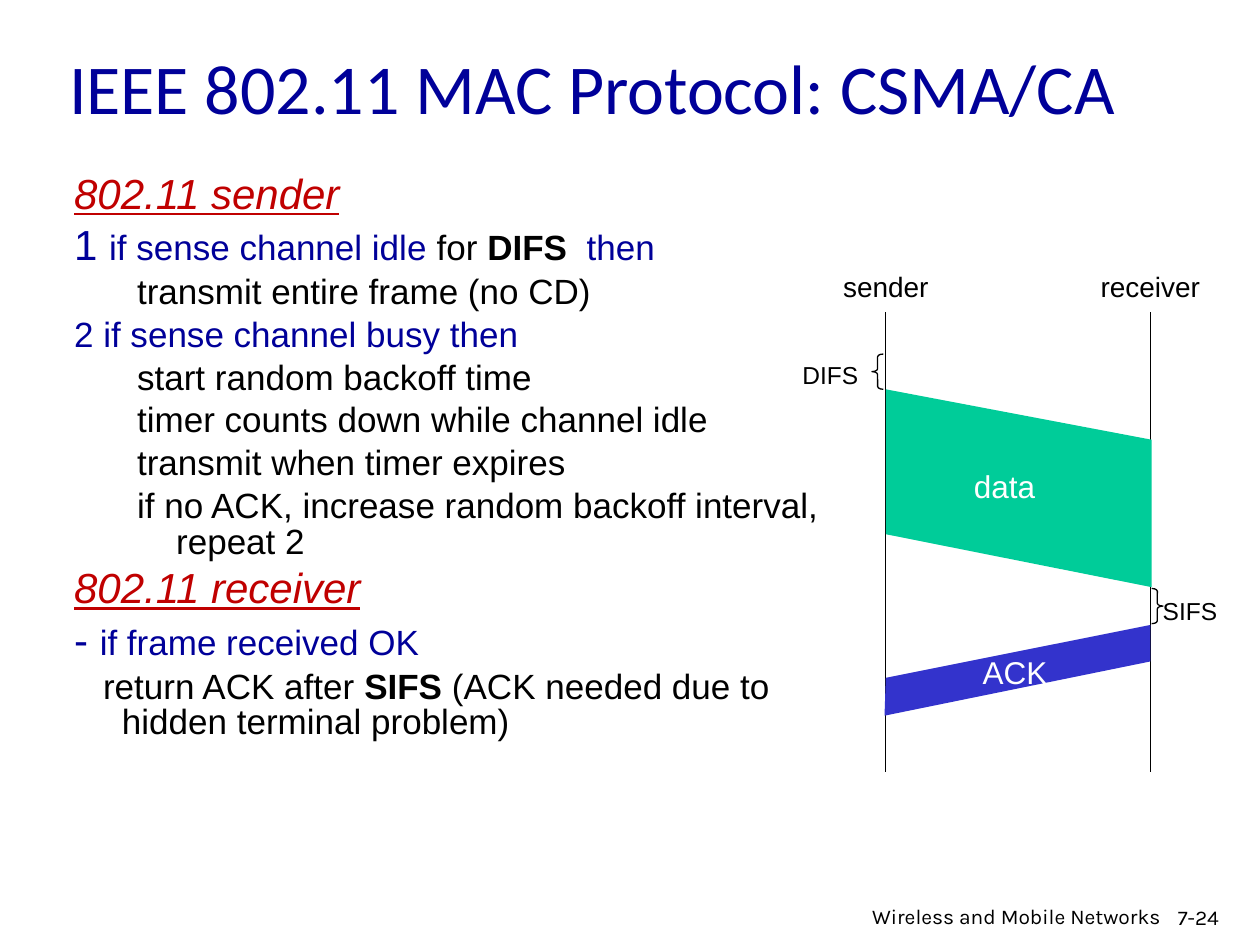
import lxml.etree
import pptx
import pptx.dml.color
import pptx.enum.shapes
import pptx.enum.text
import pptx.oxml.ns
import pptx.util

NAVY, RED, BLACK, WHITE = "000099", "C00000", "000000", "FFFFFF"
GREEN, BLUE = "00CC99", "3333CC"
ALIGN = pptx.enum.text.PP_ALIGN
ANCHOR = pptx.enum.text.MSO_ANCHOR
SHAPE = pptx.enum.shapes.MSO_SHAPE

HEADING, STEP, ACTION, REPLY = (0.38, -0.38), (0.38, -0.38), (0.81, -0.31), (0.38, -0.15)
PROTOCOL = [
    (HEADING, [("802.11 sender", 24, RED, "heading")]),
    (STEP, [("1 ", 24, NAVY, ""), ("if sense channel idle", 20, NAVY, ""), (" for ", 20, BLACK, ""),
            ("DIFS  ", 20, BLACK, "bold"), ("then", 20, NAVY, "")]),
    (ACTION, [("transmit entire frame (no CD)", 20, BLACK, "")]),
    (STEP, [("2 if sense channel busy then", 20, NAVY, "")]),
    (ACTION, [("start random backoff time", 20, BLACK, "")]),
    (ACTION, [("timer counts down while channel idle", 20, BLACK, "")]),
    (ACTION, [("transmit when timer expires", 20, BLACK, "")]),
    (ACTION, [("if no ACK, increase random backoff interval, repeat 2", 20, BLACK, "")]),
    (HEADING, [("802.11 receiver", 24, RED, "heading")]),
    (STEP, [("- ", 24, NAVY, ""), ("if frame received OK", 20, NAVY, "")]),
    (REPLY, [("return ACK after ", 20, BLACK, ""), ("SIFS ", 20, BLACK, "bold"),
             ("(ACK needed due to hidden terminal problem)", 20, BLACK, "")]),
]


def grid(count):
    """Return the length of a number of columns or rows, each a tenth of an inch."""
    return pptx.util.Inches(count / 10)


def color(code):
    """Return the colour for a hex string."""
    return pptx.dml.color.RGBColor.from_string(code)


def style(font, size, code, name="Arial"):
    """Set the size, colour and typeface of a font."""
    font.size = pptx.util.Pt(size)
    font.color.rgb = color(code)
    font.name = name


def add_frame(slide, box, wrap=True):
    """Add an empty text box on the grid and return its text frame."""
    frame = slide.shapes.add_textbox(*map(grid, box)).text_frame
    frame.word_wrap = wrap
    return frame


def add_label(slide, box, text, size, code=BLACK, name="Arial", align=ALIGN.LEFT,
              anchor=ANCHOR.TOP, wrap=False):
    """Add one line of text in a box on the grid."""
    frame = add_frame(slide, box, wrap)
    frame.vertical_anchor = anchor
    label = frame.paragraphs[0]
    label.text = text
    label.alignment = align
    style(label.font, size, code, name)


def add_protocol(slide, box):
    """Write the sender and receiver rules."""
    frame = add_frame(slide, box)
    for index, ((margin, indent), phrases) in enumerate(PROTOCOL):
        rule = frame.add_paragraph() if index else frame.paragraphs[0]
        rule.line_spacing = 0.85
        rule.space_before = pptx.util.Pt(phrases[0][1] / 5)
        rule.level = int(margin == ACTION[0])
        properties = rule._p.get_or_add_pPr()
        properties.set("marL", str(pptx.util.Inches(margin)))
        properties.set("indent", str(pptx.util.Inches(indent)))
        for text, size, code, emphasis in phrases:
            phrase = rule.add_run()
            phrase.text = text
            style(phrase.font, size, code)
            phrase.font.bold = emphasis == "bold"
            phrase.font.italic = phrase.font.underline = emphasis == "heading"


def add_lifeline(slide, column, top, bottom):
    """Draw the vertical time line of one station."""
    lifeline = slide.shapes.add_connector(
        pptx.enum.shapes.MSO_CONNECTOR.STRAIGHT, *map(grid, (column, top, column, bottom)))
    lifeline.line.color.rgb = color(BLACK)
    lifeline.line.width = pptx.util.Pt(0.75)
    lxml.etree.SubElement(lifeline._element.spPr, pptx.oxml.ns.qn("a:effectLst"))


def add_wait(slide, kind, column, row):
    """Draw the brace that marks a waiting time."""
    brace = slide.shapes.add_shape(kind, *map(grid, (column, row, 0.9, 2.8)))
    brace.shadow.inherit = False
    brace.adjustments[0] = 0.25
    brace.fill.background()
    brace.line.color.rgb = color(BLACK)
    brace.line.width = pptx.util.Pt(0.75)


def add_transfer(slide, corners, code):
    """Draw the slanted band of a frame in transit."""
    points = [(grid(column), grid(row)) for column, row in corners]
    builder = slide.shapes.build_freeform(*points[0])
    builder.add_line_segments(points[1:], close=True)
    band = builder.convert_to_shape()
    band.shadow.inherit = False
    band.fill.solid()
    band.fill.fore_color.rgb = color(code)
    band.line.fill.background()


def add_exchange(slide, box):
    """Draw the timing diagram between sender and receiver."""
    left, top, width, height = box
    sender, receiver = left + 7.6, left + 28.6
    for station, column, width in (("sender", sender, 9.1), ("receiver", receiver, 10)):
        add_lifeline(slide, column, top + 3.9, top + height)
        add_label(slide, (column - width / 2, top, width, 3.7), station, 16, align=ALIGN.CENTER)
    add_wait(slide, SHAPE.LEFT_BRACE, sender - 1.1, top + 7.2)
    add_label(slide, (left, top + 7.2, 6.5, 3.4), "DIFS", 14)
    add_transfer(slide, [(sender, top + 10), (receiver + 0.1, top + 14),
                         (receiver + 0.1, top + 25.7), (sender, top + 21.5)], GREEN)
    add_label(slide, (sender + 6, top + 15.7, 6.9, 4), "data", 18, WHITE)
    add_label(slide, (receiver, top + 25.9, 6.4, 3.4), "SIFS", 14)
    add_wait(slide, SHAPE.RIGHT_BRACE, receiver + 0.1, top + 25.8)
    add_transfer(slide, [(sender - 0.1, top + 35.9), (receiver, top + 31.6),
                         (receiver, top + 28.7), (sender, top + 32.9)], BLUE)
    add_label(slide, (sender + 6.7, top + 30.4, 7.2, 4), "ACK", 18, WHITE)


def add_footer(slide, box):
    """Write the chapter name and the page number."""
    left, top, width, height = box
    number = 7.5
    add_label(slide, (left + width - number, top + 0.1, number, height), "7-24", 12,
              name="Karla", wrap=True)
    add_label(slide, (left, top, width - number + 1, height), "Wireless and Mobile Networks ", 12,
              name="Karla", align=ALIGN.RIGHT, wrap=True)


def main():
    """Build the slide and save it."""
    deck = pptx.Presentation()
    deck.slide_width, deck.slide_height = grid(100), grid(75)
    slide = deck.slides.add_slide(deck.slide_layouts[6])
    add_label(slide, (4.5, 1.7, 89.9, 10.4), "IEEE 802.11 MAC Protocol: CSMA/CA", 40, NAVY,
              "Calibri", anchor=ANCHOR.MIDDLE, wrap=True)
    add_protocol(slide, (4.9, 13.4, 61.6, 54.2))
    add_exchange(slide, (62.7, 20.9, 35, 40.4))
    add_footer(slide, (64, 71.2, 36, 2.8))
    deck.save("out.pptx")


if __name__ == "__main__":
    main()
